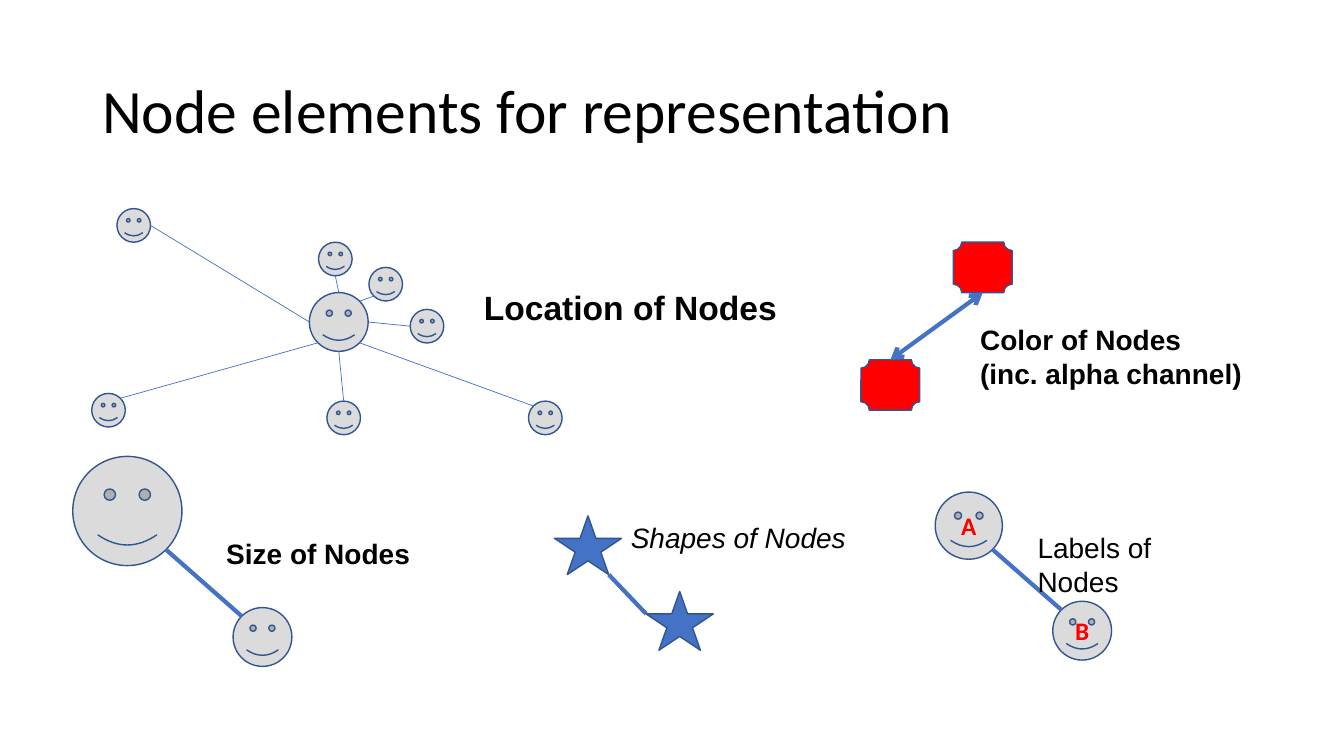
from lxml import etree
from pptx import Presentation
from pptx.dml.color import RGBColor
from pptx.enum import shapes, text
from pptx.oxml import ns
from pptx.util import Pt

KIND = shapes.MSO_SHAPE
BLUE, OUTLINE, GREY, RED, BLACK = "4472C4", "325491", "DBDBDB", "FF0000", "000000"
SMALL, MEDIUM = 24, 42

# Points on a shape's edge, as fractions of its width and height
EDGE = {
    "top": (0.5, 0), "bottom": (0.5, 1), "left": (0, 0.5), "right": (1, 0.5),
    "top left": (0.146, 0.146), "top right": (0.854, 0.146),
    "bottom left": (0.146, 0.854), "bottom right": (0.854, 0.854),
    "star foot": (0.81, 1), "star arm": (0, 0.38),
}


def color(value):
    return RGBColor.from_string(value)


def style(para, size, font="Arial", ink=BLACK, bold=False, italic=False):
    for span in para.runs:
        span.font.size = Pt(size)
        span.font.name = font
        span.font.color.rgb = color(ink)
        span.font.bold = bold
        span.font.italic = italic


def add_text(parent, left, top, width, height, words, size, wrap=False, **look):
    box = parent.shapes.add_textbox(Pt(left), Pt(top), Pt(width), Pt(height))
    box.text_frame.word_wrap = wrap
    box.text_frame.text = words
    for para in box.text_frame.paragraphs:
        style(para, size, **look)
    return box


def add_node(parent, kind, left, top, width, height, fill, label=""):
    node = parent.shapes.add_shape(kind, Pt(left), Pt(top), Pt(width), Pt(height))
    node.shadow.inherit = False
    node.fill.solid()
    node.fill.fore_color.rgb = color(fill)
    node.line.color.rgb = color(OUTLINE)
    node.line.width = Pt(1)
    if label:
        frame = node.text_frame
        frame.text = label
        frame.vertical_anchor = text.MSO_ANCHOR.MIDDLE
        frame.paragraphs[0].alignment = text.PP_ALIGN.CENTER
        style(frame.paragraphs[0], 18, "Calibri", RED, bold=True)
    return node


def add_face(parent, left, top, size, label=""):
    return add_node(parent, KIND.SMILEY_FACE, left, top, size, size, GREY, label)


def edge_point(node, side):
    across, down = EDGE[side]
    return int(node.left + node.width * across), int(node.top + node.height * down)


def add_link(parent, start, start_side, end, end_side, width=3, arrows=False):
    link = parent.shapes.add_connector(
        shapes.MSO_CONNECTOR.STRAIGHT,
        *edge_point(start, start_side), *edge_point(end, end_side))
    link.line.color.rgb = color(BLUE)
    link.line.width = Pt(width)
    if arrows:
        outline = link.line._get_or_add_ln()
        for tip in ("a:headEnd", "a:tailEnd"):
            etree.SubElement(outline, ns.qn(tip), type="arrow")
    etree.SubElement(link._element.spPr, ns.qn("a:effectLst"))


def add_title(page, left, top, width, height):
    box = add_text(page, left, top, width, height, "Node elements for representation",
                   44, wrap=True, font="Calibri")
    box.text_frame.vertical_anchor = text.MSO_ANCHOR.MIDDLE
    box.text_frame.paragraphs[0].line_spacing = 0.9


def add_color_example(page, left, top):
    group = page.shapes.add_group_shape()
    upper, lower = [add_node(group, KIND.PLAQUE, left + x, top + y, MEDIUM, 36, RED)
                    for x, y in ((66, 0), (0, 84))]
    add_link(group, lower, "top", upper, "bottom", arrows=True)
    add_text(group, left + 78, top + 54, 203, 55.4,
             "Color of Nodes\n(inc. alpha channel)", 20, bold=True)


def add_size_example(page, left, top):
    group = page.shapes.add_group_shape()
    large = add_face(group, left, top, 78)
    medium = add_face(group, left + 114.5, top + 108, MEDIUM)
    add_link(group, large, "bottom right", medium, "top left")
    add_text(group, left + 102.5, top + 54, 147, 31.5, "Size of Nodes", 20, bold=True)


def add_label_example(page, left, top):
    group = page.shapes.add_group_shape()
    first = add_face(group, left, top, 48, "A")
    second = add_face(group, left + 84, top + 78, MEDIUM, "B")
    add_link(group, first, "bottom right", second, "top left")
    add_text(group, left + 66, top + 24, 131, 29, "Labels of Nodes", 20, wrap=True)


def add_location_example(page, left, top):
    group = page.shapes.add_group_shape()
    hub = add_face(group, left + 155.5, top + 60, MEDIUM)
    # Neighbour offset, hub side, neighbour side
    neighbours = [
        (162, 24, "top", "bottom"),
        (198, 42, "top right", "bottom left"),
        (227.5, 72, "right", "left"),
        (312, 137.5, "bottom right", "top left"),
        (168, 137.5, "bottom", "top"),
        (0, 132, "bottom left", "top right"),
        (18, 0, "left", "right"),
    ]
    for x, y, hub_side, side in neighbours:
        face = add_face(group, left + x, top + y, SMALL)
        add_link(group, hub, hub_side, face, side, width=0.5)
    add_text(group, left + 273, top + 52.5, 234, 36, "Location of Nodes", 24,
             wrap=True, bold=True)


def add_shape_example(page, left, top):
    group = page.shapes.add_group_shape()
    add_text(group, left + 47.5, top, 169, 31.5, "Shapes of Nodes", 20, italic=True)
    first, second = [add_node(group, KIND.STAR_5_POINT, left + x, top + y, 48, MEDIUM, BLUE)
                     for x, y in ((0, 0), (65.5, 54))]
    add_link(group, first, "star foot", second, "star arm")


def main():
    deck = Presentation()
    deck.slide_width, deck.slide_height = Pt(960), Pt(540)
    page = deck.slides.add_slide(deck.slide_layouts[6])
    add_title(page, 66, 28.8, 828, 104.4)
    add_color_example(page, 615, 173)
    add_size_example(page, 52, 326)
    add_label_example(page, 668, 351.5)
    add_location_example(page, 65.5, 149)
    add_shape_example(page, 396, 368.5)
    deck.save("out.pptx")


if __name__ == "__main__":
    main()
